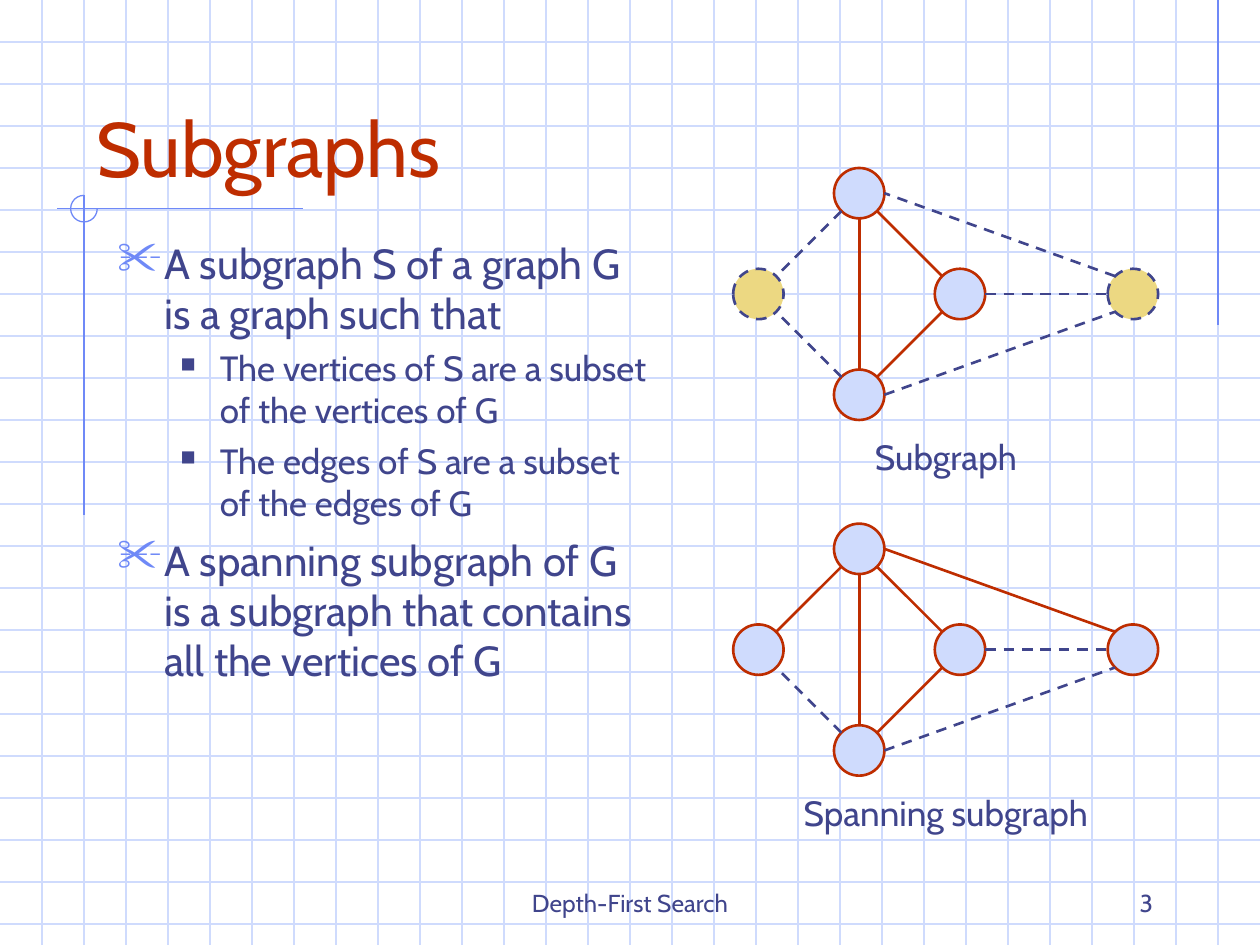
import math

import lxml.etree
import pptx
import pptx.dml.color
import pptx.enum.dml
import pptx.enum.shapes
import pptx.enum.text
import pptx.oxml.ns
import pptx.util

Pt = pptx.util.Pt
Shapes = pptx.enum.shapes.MSO_SHAPE
Anchor = pptx.enum.text.MSO_ANCHOR
Align = pptx.enum.text.PP_ALIGN
COLORS = {
    "grid": "CFDBFD",
    "accent": "6F89F7",
    "text": "40458C",
    "red": "BE2D00",
    "vertex": "CFDBFD",
    "excluded": "ECD882",
}
FONT = "Cabin"
WIDTH, HEIGHT, GRID = 720, 540, 24
DIAMETER = 28.8
VERTICES = {
    "top": (57.6, 0),
    "left": (0, 57.6),
    "middle": (115.2, 57.6),
    "bottom": (57.6, 115.2),
    "right": (214, 57.6),
}
EDGES = [
    ("top", 135, "left", -45),
    ("bottom", -135, "left", 45),
    ("bottom", -45, "middle", 135),
    ("top", 45, "middle", -135),
    ("top", 90, "bottom", -90),
    ("middle", 0, "right", 180),
    ("bottom", 0, "right", 135),
    ("right", -135, "top", 0),
]
BULLETS = [
    (0, "A subgraph S of a graph G is a graph such that"),
    (1, "The vertices of S are a subset of the vertices of G"),
    (1, "The edges of S are a subset of the edges of G"),
    (0, "A spanning subgraph of G is a subgraph that contains all the vertices of G"),
]
LEVELS = [
    {"size": 24, "margin": 27, "indent": -27, "before": 6,
     "char": "✂", "color": "accent", "percent": 110},
    {"size": 20, "margin": 58.5, "indent": -22.5, "before": 5,
     "char": "■", "color": "text", "percent": 60},
]


def rgb(name):
    return pptx.dml.color.RGBColor.from_string(COLORS[name])


def style_line(line, color, width, dashed=False):
    line.color.rgb = rgb(color)
    line.width = Pt(width)
    if dashed:
        line.dash_style = pptx.enum.dml.MSO_LINE.DASH


def add_line(page, start, end, color, width=0.75, dashed=False):
    line = page.shapes.add_connector(
        pptx.enum.shapes.MSO_CONNECTOR.STRAIGHT,
        *[Pt(value) for value in (*start, *end)])
    style_line(line.line, color, width, dashed)
    properties = line._element.spPr
    lxml.etree.SubElement(properties, pptx.oxml.ns.qn("a:effectLst"))


def add_text(page, box, texts, size, color="text", align=Align.LEFT, anchor=Anchor.TOP):
    shape = page.shapes.add_textbox(*[Pt(value) for value in box])
    frame = shape.text_frame
    frame.word_wrap = True
    frame.vertical_anchor = anchor
    frame.text = "\n".join(texts)
    for para in frame.paragraphs:
        para.alignment = align
        for span in para.runs:
            span.font.name = FONT
            span.font.size = Pt(size)
            span.font.color.rgb = rgb(color)
    return frame


def add_bullet(para, level):
    style = LEVELS[level]
    para.level = level
    para.space_before = Pt(style["before"])
    for span in para.runs:
        span.font.size = Pt(style["size"])
    properties = para._p.get_or_add_pPr()
    properties.set("marL", str(Pt(style["margin"])))
    properties.set("indent", str(Pt(style["indent"])))
    qn = pptx.oxml.ns.qn
    color = lxml.etree.SubElement(properties, qn("a:buClr"))
    lxml.etree.SubElement(color, qn("a:srgbClr"), val=COLORS[style["color"]])
    lxml.etree.SubElement(properties, qn("a:buSzPct"), val=str(style["percent"] * 1000))
    lxml.etree.SubElement(properties, qn("a:buChar"), char=style["char"])


def add_body(page, box):
    frame = add_text(page, box, [text for level, text in BULLETS], 24)
    for para, (level, text) in zip(frame.paragraphs, BULLETS):
        add_bullet(para, level)


def add_background(page, width, height):
    for y in range(GRID, height, GRID):
        add_line(page, (0, y), (width, y), "grid")
    for x in range(GRID, width, GRID):
        add_line(page, (x, 0), (x, height), "grid")
    add_line(page, (width - GRID, 0), (width - GRID, 186), "accent")


def add_corner(page, x, y, radius):
    add_line(page, (x + 125, y), (x - 15.5, y), "accent")
    add_line(page, (x, y - radius), (x, y + 175), "accent")
    arc = page.shapes.add_shape(
        Shapes.ARC, Pt(x - radius), Pt(y - radius), Pt(2 * radius), Pt(2 * radius))
    arc.adjustments[0] = 0
    arc.adjustments[1] = 162
    arc.shadow.inherit = False
    arc.fill.background()
    style_line(arc.line, "accent", 0.75)


def add_vertex(page, left, top, excluded):
    vertex = page.shapes.add_shape(
        Shapes.OVAL, Pt(left), Pt(top), Pt(DIAMETER), Pt(DIAMETER))
    vertex.shadow.inherit = False
    vertex.fill.solid()
    vertex.fill.fore_color.rgb = rgb("excluded" if excluded else "vertex")
    style_line(vertex.line, "text" if excluded else "red", 1.5, excluded)


def rim_point(left, top, name, angle):
    x, y = VERTICES[name]
    radius = DIAMETER / 2
    turn = math.radians(angle)
    return (left + x + radius + radius * math.cos(turn),
            top + y + radius + radius * math.sin(turn))


def add_graph(page, left, top, caption, excluded_vertices, excluded_edges):
    for name, (x, y) in VERTICES.items():
        add_vertex(page, left + x, top + y, name in excluded_vertices)
    for start, start_angle, end, end_angle in EDGES:
        excluded = {start, end} in excluded_edges
        add_line(page, rim_point(left, top, start, start_angle),
                 rim_point(left, top, end, end_angle),
                 "text" if excluded else "red", 1.5, excluded)
    add_text(page, (left - 22, top + 149.5, 287, 31.5), [caption], 20, align=Align.CENTER)


def add_footer(page, top, height):
    add_text(page, (246, top, 228, height), ["Depth-First Search"], 14,
             align=Align.CENTER, anchor=Anchor.BOTTOM)
    add_text(page, (516, top, 150, height), ["3"], 14,
             align=Align.RIGHT, anchor=Anchor.BOTTOM)


def main():
    deck = pptx.Presentation()
    deck.slide_width, deck.slide_height = Pt(WIDTH), Pt(HEIGHT)
    page = deck.slides.add_slide(deck.slide_layouts[6])
    add_background(page, WIDTH, HEIGHT)
    add_corner(page, 48, 119.25, 7.6)
    add_footer(page, 492, 36)
    add_text(page, (48, 24, 612, 90), ["Subgraphs"], 44, "red", anchor=Anchor.BOTTOM)
    add_body(page, (60, 132, 318, 342))
    spanning_gaps = [{"bottom", "left"}, {"middle", "right"}, {"bottom", "right"}]
    subgraph_gaps = spanning_gaps + [{"top", "left"}, {"top", "right"}]
    add_graph(page, 419, 96, "Subgraph", ["left", "right"], subgraph_gaps)
    add_graph(page, 419, 299.25, "Spanning subgraph", [], spanning_gaps)
    deck.save("out.pptx")


if __name__ == "__main__":
    main()
